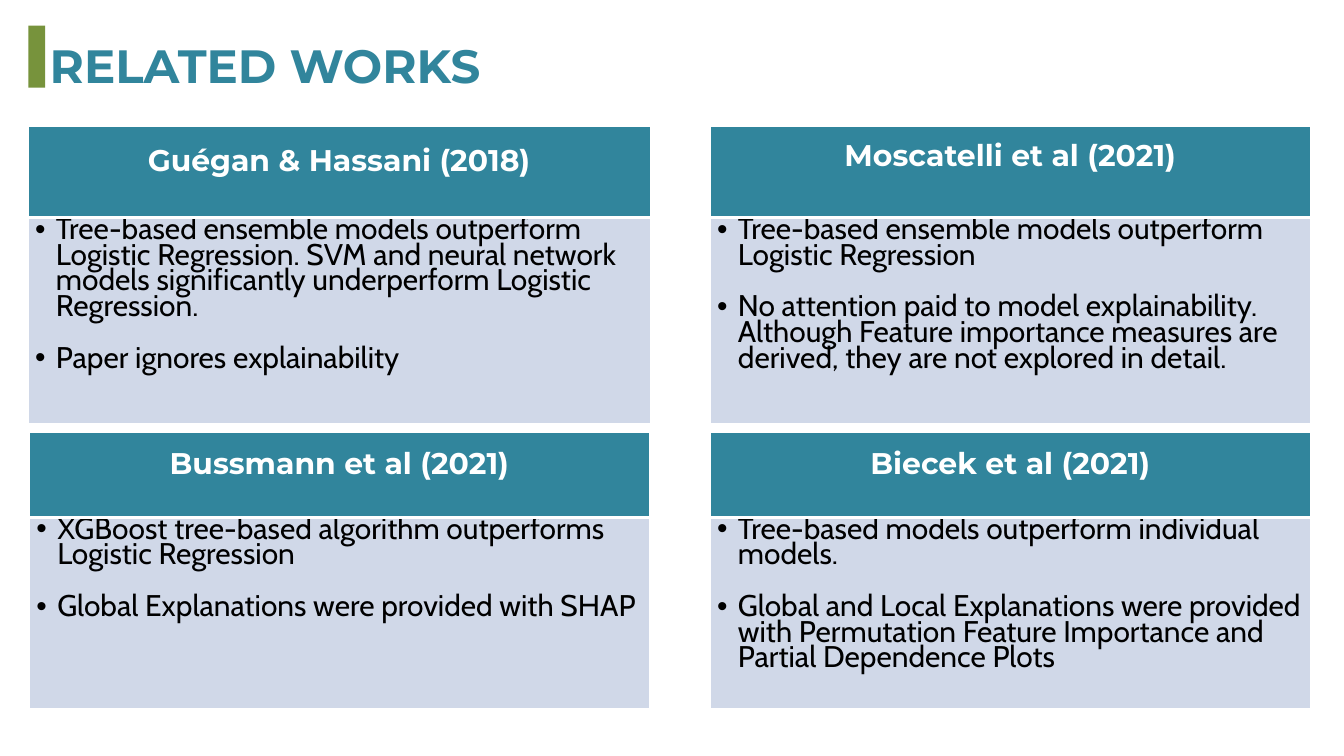
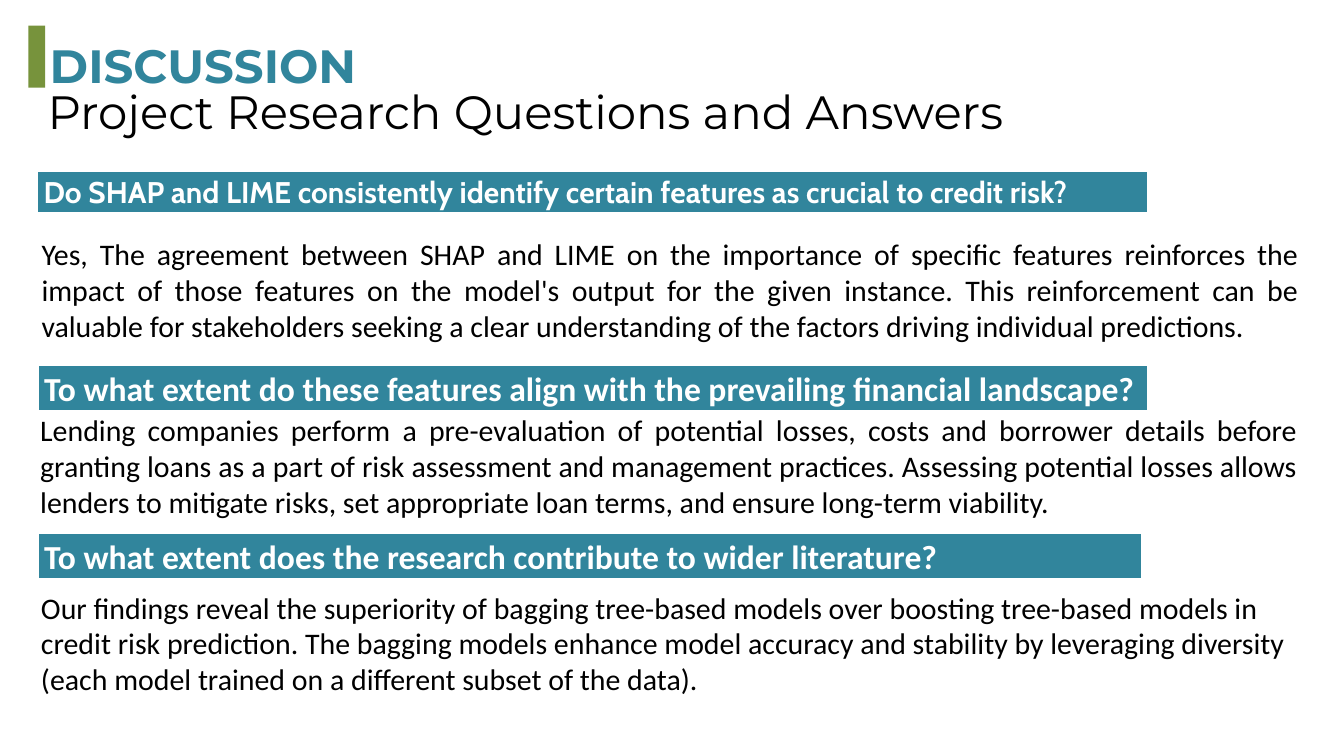
import pptx
import pptx.dml.color
import pptx.enum.shapes
import pptx.enum.text
import pptx.oxml.ns
import pptx.util
from lxml import etree

Cm = pptx.util.Cm
Pt = pptx.util.Pt
ALIGN = pptx.enum.text.PP_ALIGN
ANCHOR = pptx.enum.text.MSO_ANCHOR

TEAL, GREEN, PALE, WHITE, BLACK = "31859C", "77933C", "D0D8E8", "FFFFFF", "000000"
HEADING_FONT, CARD_FONT, BODY_FONT = "Montserrat", "Cabin", "Calibri"
TIGHT_LINE = 27.6

LEFT_CARDS, RIGHT_CARDS = (1.07, 23.5), (26.85, 22.68)
UPPER_CARDS, LOWER_CARDS = (4.78, 3.45, 7.77), (16.36, 3.2, 7.21)

RELATED_WORKS = [
    (LEFT_CARDS, UPPER_CARDS, "Guégan & Hassani (2018)", None, [
        "Tree-based ensemble models outperform Logistic Regression. SVM and neural network "
        "models significantly underperform Logistic Regression.",
        "Paper ignores explainability"]),
    ((1.12, 23.42), LOWER_CARDS, "Bussmann et al (2021)", None, [
        "XGBoost tree-based algorithm outperforms Logistic Regression",
        "Global Explanations were provided with SHAP"]),
    (RIGHT_CARDS, UPPER_CARDS, "Moscatelli et al (2021)", TIGHT_LINE, [
        "Tree-based ensemble models outperform Logistic Regression",
        "No attention paid to model explainability. Although Feature importance measures are "
        "derived, they are not explored in detail."]),
    (RIGHT_CARDS, LOWER_CARDS, "Biecek et al (2021)", None, [
        "Tree-based models outperform individual models.",
        "Global and Local Explanations were provided with Permutation Feature Importance and "
        "Partial Dependence Plots"]),
]

QUESTIONS = [
    ((1.4, 6.45, 41.99, 1.63), CARD_FONT, 32,
     "Do SHAP and LIME consistently identify certain features as crucial to credit risk?"),
    ((1.42, 13.77, 41.99, 1.8), BODY_FONT, 36,
     "To what extent do these features align with the prevailing financial landscape?"),
    ((1.42, 20.12, 41.78, 1.8), BODY_FONT, 36,
     "To what extent does the research contribute to wider literature?"),
]

ANSWERS = [
    (1.32, 8.79, ALIGN.JUSTIFY,
     "Yes, The agreement between SHAP and LIME on the importance of specific features reinforces "
     "the impact of those features on the model's output for the given instance. This "
     "reinforcement can be valuable for stakeholders seeking a clear understanding of the "
     "factors driving individual predictions."),
    (1.27, 15.44, ALIGN.JUSTIFY,
     "Lending companies perform a pre-evaluation of potential losses, costs and borrower details "
     "before granting loans as a part of risk assessment and management practices. Assessing "
     "potential losses allows lenders to mitigate risks, set appropriate loan terms, and ensure "
     "long-term viability."),
    (1.3, 22.15, ALIGN.LEFT,
     "Our findings reveal the superiority of bagging tree-based models over boosting tree-based "
     "models in credit risk prediction. The bagging models enhance model accuracy and stability "
     "by leveraging diversity (each model trained on a different subset of the data)."),
]


def color(hex_value):
    """Turn a hex string into a colour."""
    return pptx.dml.color.RGBColor.from_string(hex_value)


def fill_with(target, hex_value):
    """Give a shape or cell a solid fill."""
    target.fill.solid()
    target.fill.fore_color.rgb = color(hex_value)


def add_bullet(paragraph):
    """Give a paragraph a hanging round bullet."""
    properties = paragraph._p.get_or_add_pPr()
    properties.set("marL", str(Cm(0.79)))
    properties.set("indent", str(-Cm(0.79)))
    etree.SubElement(properties, pptx.oxml.ns.qn("a:buFont"), typeface="Arial")
    etree.SubElement(properties, pptx.oxml.ns.qn("a:buChar"), char="•")


def write_text(frame, *texts, font=BODY_FONT, size=32, ink=BLACK, bold=False, align=ALIGN.LEFT,
               line=None, gap=0, bullet=False, anchor=None, inset=None):
    """Fill a text frame with one formatted paragraph for each text."""
    frame.word_wrap = True
    if anchor is not None:
        frame.vertical_anchor = anchor
    if inset is not None:
        frame.margin_left = frame.margin_right = Cm(inset)
        frame.margin_top = frame.margin_bottom = Cm(inset)
    for index, text in enumerate(texts):
        paragraph = frame.add_paragraph() if index else frame.paragraphs[0]
        paragraph.alignment = align
        if bullet:
            add_bullet(paragraph)
        if line:
            paragraph.line_spacing = Pt(line)
        if index:
            paragraph.space_before = Pt(gap)
        run = paragraph.add_run()
        run.text = text
        run.font.name = font
        run.font.size = Pt(size)
        run.font.bold = bold
        run.font.color.rgb = color(ink)


def add_bar(slide, box, fill, outline=None):
    """Add a plain rectangle, with a thick outline if a colour is given."""
    bar = slide.shapes.add_shape(pptx.enum.shapes.MSO_SHAPE.RECTANGLE, *map(Cm, box))
    bar.shadow.inherit = False
    fill_with(bar, fill)
    if outline:
        bar.line.color.rgb = color(outline)
        bar.line.width = Pt(3)
    else:
        bar.line.fill.background()
    return bar


def add_text(slide, box, text, **text_format):
    """Add a text box."""
    text_box = slide.shapes.add_textbox(*map(Cm, box))
    write_text(text_box.text_frame, text, **text_format)


def add_titled_slide(presentation, title):
    """Add a slide with the green marker and the teal title."""
    slide = presentation.slides.add_slide(presentation.slide_layouts[5])
    add_bar(slide, (1.07, 0.97, 0.64, 2.34), GREEN)
    placeholder = slide.shapes.title
    placeholder.left, placeholder.top, placeholder.width, placeholder.height = map(
        Cm, (1.88, 0.56, 47.04, 2.57))
    write_text(placeholder.text_frame, title, font=HEADING_FONT, size=50, ink=TEAL, bold=True,
               line=83.1, anchor=ANCHOR.TOP, inset=0)
    return slide


def style_cell(cell, fill, bottom_width=1):
    """Give a cell white borders and a fill."""
    properties = cell._tc.get_or_add_tcPr()
    for side, width in (("L", 1), ("R", 1), ("T", 1), ("B", bottom_width)):
        border = etree.SubElement(properties, pptx.oxml.ns.qn("a:ln" + side), w=str(Pt(width)))
        solid = etree.SubElement(border, pptx.oxml.ns.qn("a:solidFill"))
        etree.SubElement(solid, pptx.oxml.ns.qn("a:srgbClr"), val=WHITE)
    fill_with(cell, fill)


def add_card(slide, column, rows, heading, heading_line, findings):
    """Add a two-row table with a paper's name and its findings."""
    left, width = column
    top, *heights = rows
    table = slide.shapes.add_table(2, 1, *map(Cm, (left, top, width, sum(heights)))).table
    table.first_row = table.horz_banding = False
    for row, height in zip(table.rows, heights):
        row.height = Cm(height)
    header, body = table.cell(0, 0), table.cell(1, 0)
    style_cell(header, TEAL, bottom_width=3)
    style_cell(body, PALE)
    header.vertical_anchor = ANCHOR.MIDDLE
    header.margin_bottom = Cm(0.95)
    write_text(header.text_frame, heading, font=HEADING_FONT, ink=WHITE, bold=True,
               align=ALIGN.CENTER, line=heading_line)
    write_text(body.text_frame, *findings, font=CARD_FONT, line=TIGHT_LINE, gap=TIGHT_LINE,
               bullet=True)


def add_question(slide, box, font, size, question):
    """Add a teal band with a research question."""
    band = add_bar(slide, box, TEAL, outline=WHITE)
    write_text(band.text_frame, question, font=font, size=size, ink=WHITE, bold=True,
               align=ALIGN.JUSTIFY, anchor=ANCHOR.TOP)


def main():
    """Build both slides and save them."""
    presentation = pptx.Presentation()
    presentation.slide_width, presentation.slide_height = Cm(50.8), Cm(28.58)

    related = add_titled_slide(presentation, "RELATED WORKS")
    for card in RELATED_WORKS:
        add_card(related, *card)

    discussion = add_titled_slide(presentation, "DISCUSSION")
    add_text(discussion, (1.8, 3.12, 41.99, 2.13), "Project Research Questions and Answers",
             font=HEADING_FONT, size=50, inset=0)
    for left, top, align, answer in ANSWERS:
        add_text(discussion, (left, top, 48.06, 4.37), answer, align=align)
    for question in QUESTIONS:
        add_question(discussion, *question)

    presentation.save("out.pptx")


if __name__ == "__main__":
    main()
